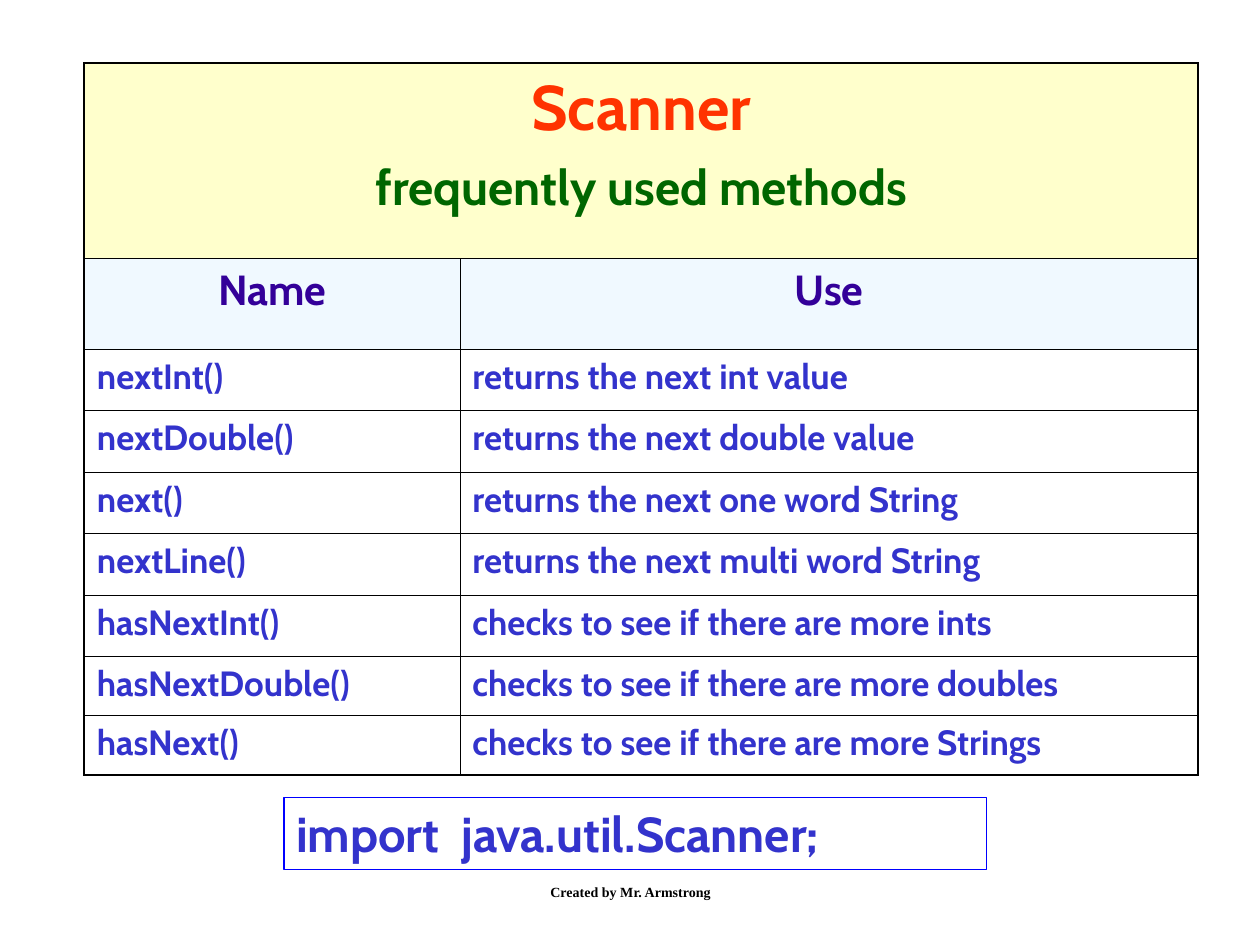
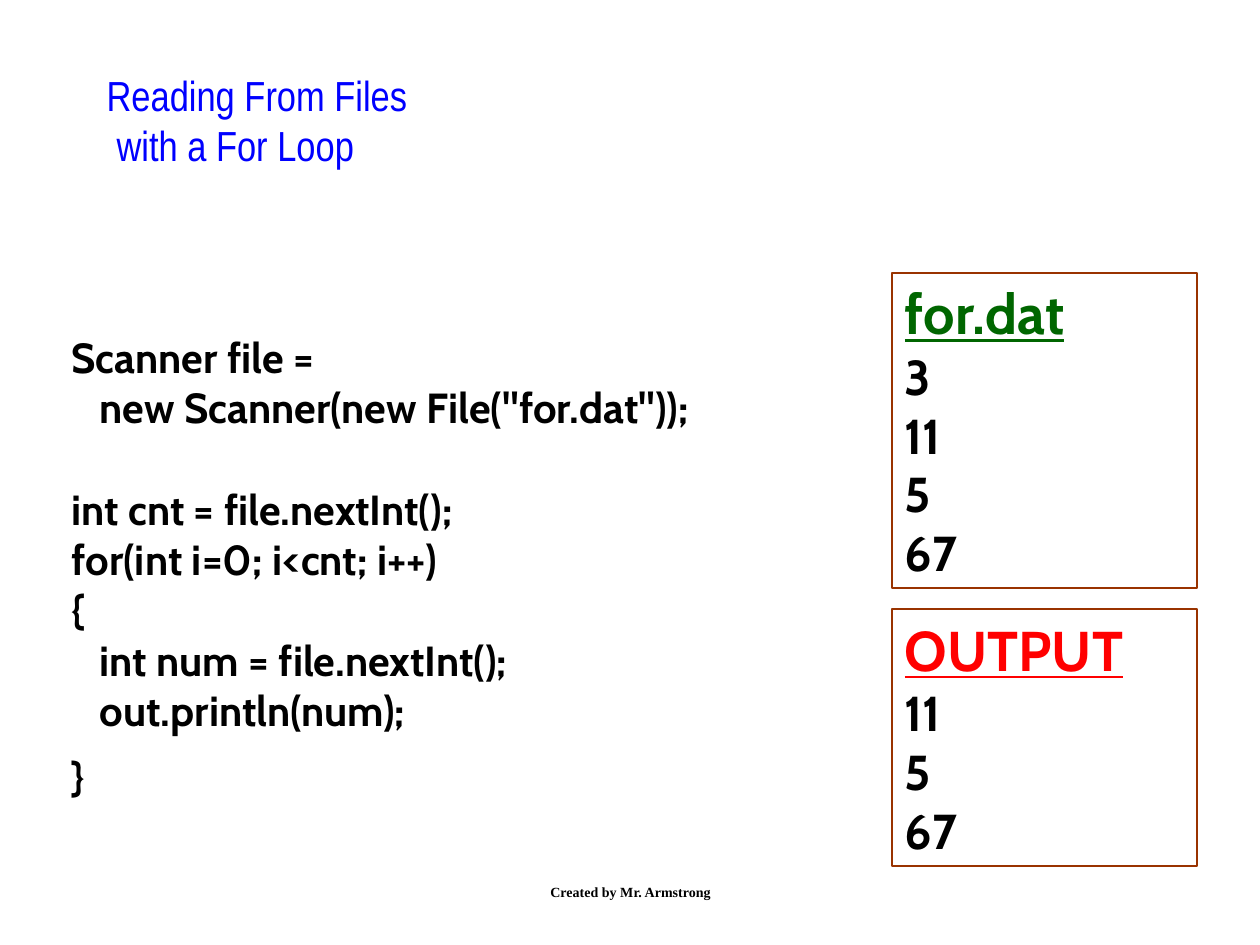
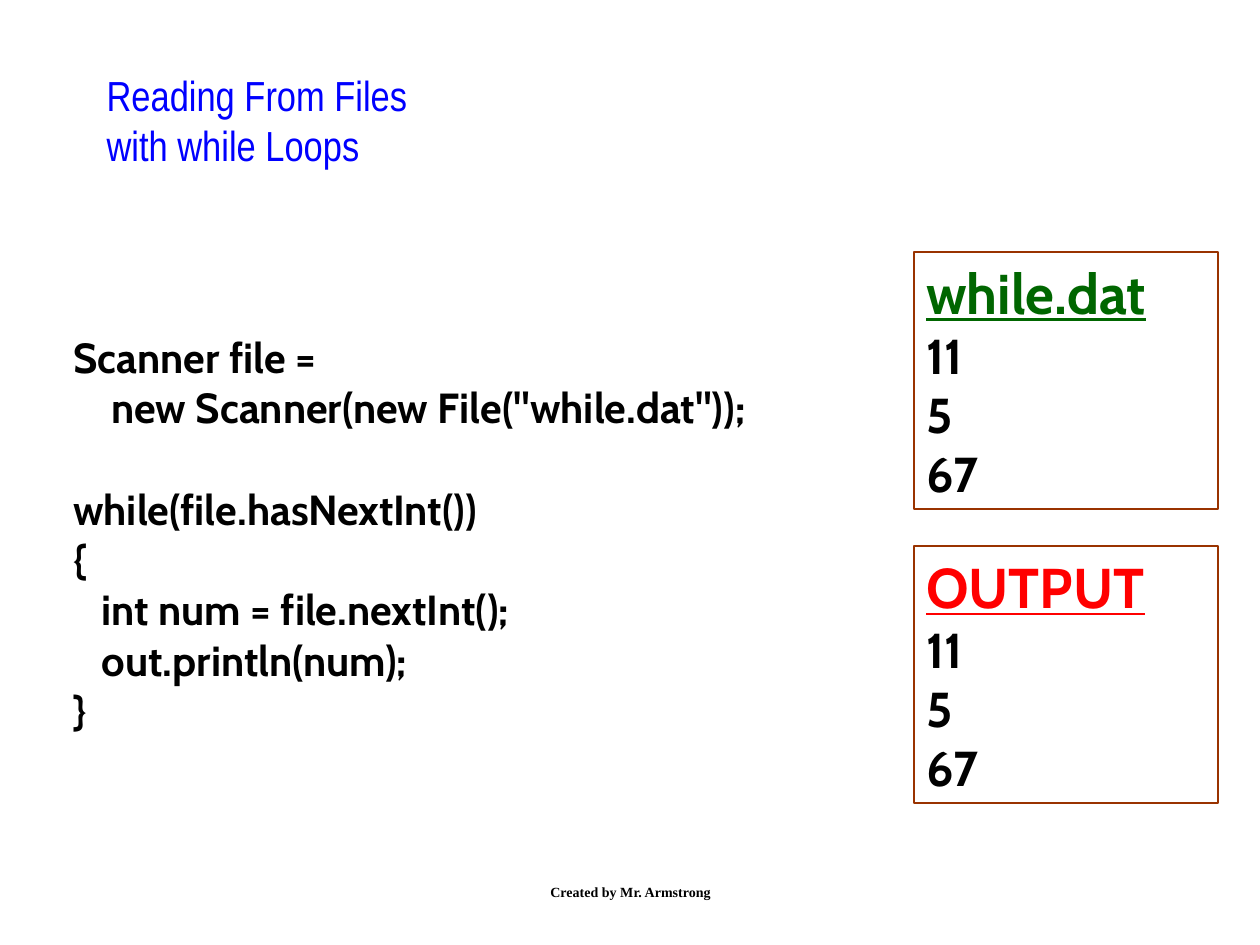
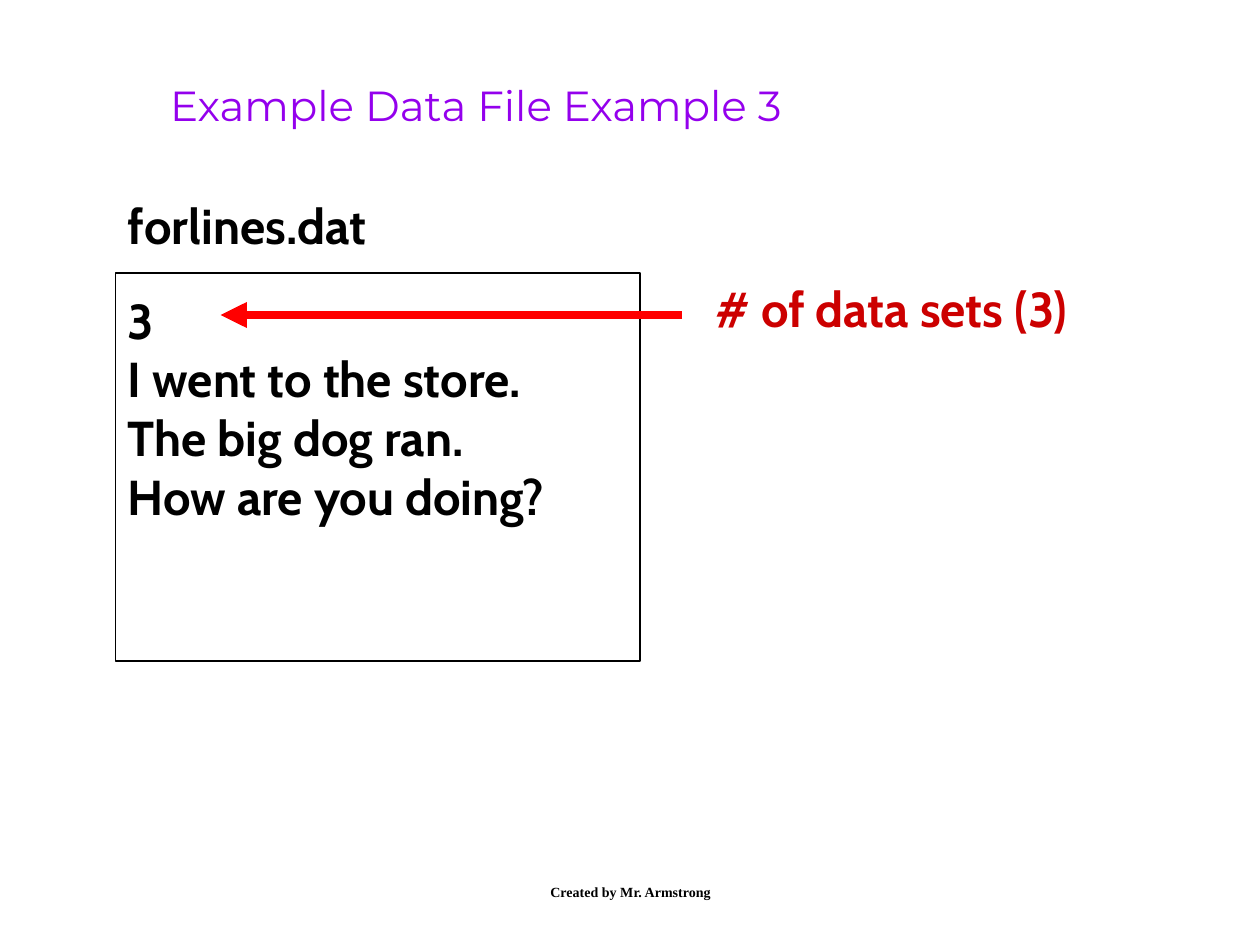
import dataclasses

import lxml.etree
import pptx
import pptx.dml.color
import pptx.enum.shapes
import pptx.enum.text
import pptx.oxml.ns
import pptx.util

Cm = pptx.util.Cm
Pt = pptx.util.Pt
qn = pptx.oxml.ns.qn


@dataclasses.dataclass(frozen=True)
class Theme:
    # Fonts
    body_font: str = "Cabin"
    title_font: str = "Arial Narrow"
    example_font: str = "Montserrat"
    footer_font: str = "Times New Roman"
    # Type sizes
    table_title: int = 36
    heading: int = 32
    large: int = 28
    medium: int = 24
    small: int = 20
    footer: int = 8
    # Colours
    black: str = "000000"
    white: str = "FFFFFF"
    blue: str = "0000FF"
    indigo: str = "330099"
    body_blue: str = "3333CC"
    purple: str = "9400ED"
    green: str = "006600"
    orange: str = "FF3300"
    red: str = "FF0000"
    dark_red: str = "CC0000"
    brown: str = "993300"
    title_fill: str = "FFFFCC"
    header_fill: str = "F0F9FF"
    # Table borders
    outer_border: float = 1.08
    inner_border: float = 0.45


THEME = Theme()
LEFT = pptx.enum.text.PP_ALIGN.LEFT
CENTER = pptx.enum.text.PP_ALIGN.CENTER
SLIDE_WIDTH, SLIDE_HEIGHT = 25.4, 19.05
FOOTER_BOX = (8.69, 17.35, 8.05, 1.27)

METHODS = [
    ("nextInt()", "returns the next int value"),
    ("nextDouble()", "returns the next double value"),
    ("next()", "returns the next one word String"),
    ("nextLine()", "returns the next multi word String"),
    ("hasNextInt()", "checks to see if there are more ints"),
    ("hasNextDouble()", "checks to see if there are more doubles"),
    ("hasNext()", "checks to see if there are more Strings"),
]

FOR_CODE = [
    "Scanner file =",
    '   new Scanner(new File("for.dat"));',
    "int cnt = file.nextInt();",
    "for(int i=0; i<cnt; i++)",
    "{",
    "   int num = file.nextInt();",
    "   out.println(num);",
    "}",
]
WHILE_CODE = [
    "Scanner file =",
    '    new Scanner(new File("while.dat"));',
    "while(file.hasNextInt())",
    "{",
    "   int num = file.nextInt();",
    "   out.println(num);",
    "}",
]


def rgb(color):
    return pptx.dml.color.RGBColor.from_string(color)


def write(frame, text, *, size=THEME.large, color=THEME.black, font=THEME.body_font,
          bold=True, underline=False, align=LEFT, before=0, indent=0):
    """Fill the first empty paragraph, or append one, and format it."""
    paragraph = frame.paragraphs[0]
    if paragraph.runs:
        paragraph = frame.add_paragraph()
    paragraph.alignment = align
    paragraph.space_before = Pt(before)
    if indent:
        paragraph._p.get_or_add_pPr().set("marL", str(Cm(indent)))
    run = paragraph.add_run()
    run.text = text
    run.font.size = Pt(size)
    run.font.name = font
    run.font.bold = bold
    run.font.underline = underline
    run.font.color.rgb = rgb(color)


def add_text_box(slide, box, wrap=True):
    frame = slide.shapes.add_textbox(*map(Cm, box)).text_frame
    frame.word_wrap = wrap
    return frame


def add_frame(slide, box, line, fill=None):
    """Outlined rectangle that holds text from its top."""
    shape = slide.shapes.add_shape(
        pptx.enum.shapes.MSO_SHAPE.RECTANGLE, *map(Cm, box))
    shape.shadow.inherit = False
    if fill:
        shape.fill.solid()
        shape.fill.fore_color.rgb = rgb(fill)
    else:
        shape.fill.background()
    shape.line.color.rgb = rgb(line)
    shape.line.width = Pt(1)
    frame = shape.text_frame
    frame.word_wrap = True
    frame.vertical_anchor = pptx.enum.text.MSO_ANCHOR.TOP
    return frame


def add_footer(slide, box):
    frame = add_text_box(slide, box)
    frame.vertical_anchor = pptx.enum.text.MSO_ANCHOR.MIDDLE
    write(frame, "Created by Mr. Armstrong", size=THEME.footer,
          font=THEME.footer_font, align=CENTER)


def new_slide(presentation):
    slide = presentation.slides.add_slide(presentation.slide_layouts[6])
    add_footer(slide, FOOTER_BOX)
    return slide


def set_borders(cell, widths):
    """Draw black borders, widths in the order left, right, top, bottom."""
    properties = cell._tc.get_or_add_tcPr()
    for index, (side, width) in enumerate(zip("LRTB", widths)):
        line = lxml.etree.Element(qn(f"a:ln{side}"), w=str(Pt(width)))
        fill = lxml.etree.SubElement(line, qn("a:solidFill"))
        lxml.etree.SubElement(fill, qn("a:srgbClr"), val=THEME.black)
        properties.insert(index, line)


def add_methods_table(slide, box):
    left, top, width, height = box
    row_heights = [3.94, 1.83] + [1.24] * 5 + [1.19] * 2
    name_width = 7.57
    table = slide.shapes.add_table(
        len(row_heights), 2, *map(Cm, box)).table
    table.first_row = False
    table.horz_banding = False
    for column, column_width in zip(table.columns, (name_width, width - name_width)):
        column.width = Cm(column_width)
    for row, row_height in zip(table.rows, row_heights):
        row.height = Cm(row_height)

    # Title row across both columns
    title = table.cell(0, 0)
    title.merge(table.cell(0, 1))
    write(title.text_frame, "Scanner", size=THEME.table_title,
          color=THEME.orange, align=CENTER)
    write(title.text_frame, "frequently used methods", color=THEME.green,
          align=CENTER, before=7)

    # Column heads and methods
    for row, texts in enumerate([("Name", "Use")] + METHODS, start=1):
        for column, text in enumerate(texts):
            frame = table.cell(row, column).text_frame
            if row == 1:
                write(frame, text, size=THEME.medium, color=THEME.indigo, align=CENTER)
            else:
                write(frame, text, size=THEME.small, color=THEME.body_blue)

    # Fills and borders
    fills = [THEME.title_fill, THEME.header_fill]
    last_row = len(row_heights) - 1
    for row in range(len(row_heights)):
        for column in range(2):
            cell = table.cell(row, column)
            if row < len(fills):
                cell.fill.solid()
                cell.fill.fore_color.rgb = rgb(fills[row])
            else:
                cell.fill.background()
            outer = (column == 0, column == 1 or row == 0, row == 0, row == last_row)
            set_borders(cell, [THEME.outer_border if edge else THEME.inner_border
                               for edge in outer])


def add_title(slide, box, lines, color, font, second_indent=0):
    """Left-aligned lines whose block is centred in the box."""
    frame = add_text_box(slide, box, wrap=False)
    for number, text in enumerate(lines):
        write(frame, text, size=THEME.medium, color=color, font=font, bold=False,
              indent=second_indent if number else 0)


def add_code(slide, box, lines, gap_after_brace=0):
    """Code block with one line of space after the scanner statement."""
    frame = add_text_box(slide, box)
    for number, text in enumerate(lines):
        before = 29 if number == 2 else 0
        if text == "}":
            before = gap_after_brace
        write(frame, text, size=THEME.medium, before=before)


def add_file_box(slide, box, name, color, values):
    frame = add_frame(slide, box, THEME.brown)
    write(frame, name, size=THEME.heading, color=color, underline=True)
    for value in values:
        write(frame, value)


def build_methods_slide(presentation):
    slide = new_slide(presentation)
    add_methods_table(slide, (1.7, 1.27, 22.45, 14.37))
    import_frame = add_frame(slide, (5.72, 16.08, 14.17, 1.45), THEME.blue)
    write(import_frame, "import  java.util.Scanner;", color=THEME.body_blue)


def build_reading_slide(presentation, title, code, code_box, file_name, file_values,
                        file_box, output_top, second_indent=0, gap_after_brace=0):
    slide = new_slide(presentation)
    add_title(slide, (1.9, 1.27, 21.39, 3.2), title, THEME.blue,
              THEME.title_font, second_indent)
    add_code(slide, code_box, code, gap_after_brace)
    # Input file above, output below in the same column
    add_file_box(slide, file_box, file_name, THEME.green, file_values)
    left, top, width, height = file_box
    add_file_box(slide, (left, output_top, width, 5.18), "OUTPUT", THEME.red,
                 ["11", "5", "67"])


def add_arrow(slide, start_x, end_x, y):
    arrow = slide.shapes.add_connector(
        pptx.enum.shapes.MSO_CONNECTOR.STRAIGHT, Cm(start_x), Cm(y), Cm(end_x), Cm(y))
    arrow.line.color.rgb = rgb(THEME.red)
    arrow.line.width = Pt(5)
    lxml.etree.SubElement(arrow.line._get_or_add_ln(), qn("a:tailEnd"), type="triangle")
    lxml.etree.SubElement(arrow._element.spPr, qn("a:effectLst"))


def add_data_file(slide, box):
    """File contents in a frame, its name above and a note to the right."""
    left, top, width, height = box
    frame = add_frame(slide, box, THEME.black, THEME.white)
    frame.margin_top = Cm(0.35)
    for text in ("3", "I went to the store.", "The big dog ran.", "How are you doing?"):
        write(frame, text)
    write(add_text_box(slide, (left, top - 1.69, 8.89, 1.45)), "forlines.dat")
    right = left + width
    add_arrow(slide, right + 0.84, left + 2.12, top + 0.85)
    write(add_text_box(slide, (right + 1.26, top, 9.96, 1.45)), "# of data sets (3)",
          color=THEME.dark_red)


def build_example_slide(presentation):
    slide = new_slide(presentation)
    add_title(slide, (3.18, 1.48, 17.57, 1.69), ["Example Data File Example 3"],
              THEME.purple, THEME.example_font)
    add_data_file(slide, (2.33, 5.5, 10.58, 7.83))


def main():
    presentation = pptx.Presentation()
    presentation.slide_width = Cm(SLIDE_WIDTH)
    presentation.slide_height = Cm(SLIDE_HEIGHT)
    build_methods_slide(presentation)
    build_reading_slide(
        presentation, ["Reading From Files", "with a For Loop"],
        FOR_CODE, (1.19, 6.56, 15.14, 9.75),
        "for.dat", ["3", "11", "5", "67"], (17.99, 5.5, 6.14, 6.36),
        output_top=12.28, second_indent=0.2, gap_after_brace=9)
    build_reading_slide(
        presentation, ["Reading From Files", "with while Loops"],
        WHILE_CODE, (1.23, 6.56, 16.41, 9.4),
        "while.dat", ["11", "5", "67"], (18.42, 5.08, 6.14, 5.18),
        output_top=11.01)
    build_example_slide(presentation)
    presentation.save("out.pptx")


if __name__ == "__main__":
    main()
